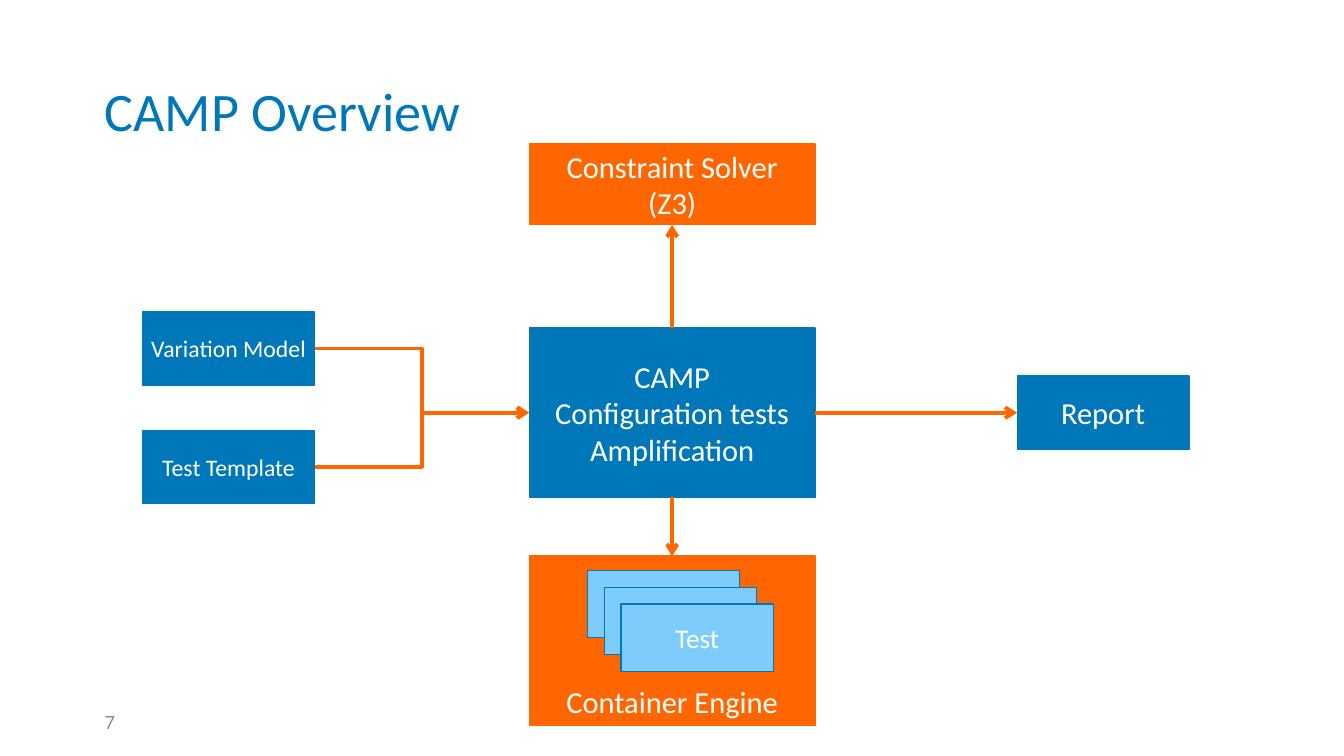
from collections import namedtuple

from lxml import etree
from pptx import Presentation
from pptx.dml.color import RGBColor
from pptx.enum.shapes import MSO_CONNECTOR, MSO_SHAPE
from pptx.enum.text import MSO_ANCHOR, PP_ALIGN
from pptx.oxml.ns import qn
from pptx.util import Pt

RECTANGLE = MSO_SHAPE.RECTANGLE
STRAIGHT, ELBOW = MSO_CONNECTOR.STRAIGHT, MSO_CONNECTOR.ELBOW
MIDDLE, BOTTOM_ANCHOR = MSO_ANCHOR.MIDDLE, MSO_ANCHOR.BOTTOM
LEFT_ALIGN, CENTER = PP_ALIGN.LEFT, PP_ALIGN.CENTER
TOP, LEFT, BOTTOM, RIGHT = range(4)

FONT = "Calibri"
BLUE, ORANGE, SKY, WHITE, GREY = "0077B8", "FF6600", "7ECCFC", "FFFFFF", "8C8C8C"
Box = namedtuple("Box", "left top width height")


def color(value):
    return RGBColor.from_string(value)


def write_text(frame, text, size=18, fill=WHITE, align=CENTER, anchor=MIDDLE, spacing=None):
    frame.vertical_anchor = anchor
    for index, line in enumerate(text.split("\n")):
        paragraph = frame.add_paragraph() if index else frame.paragraphs[0]
        paragraph.alignment = align
        if spacing:
            paragraph.line_spacing = spacing
        run = paragraph.add_run()
        run.text = line
        run.font.name = FONT
        run.font.size = Pt(size)
        run.font.color.rgb = color(fill)


def add_label(slide, box, text, **text_format):
    shape = slide.shapes.add_textbox(*map(Pt, box))
    shape.text_frame.word_wrap = True
    write_text(shape.text_frame, text, align=LEFT_ALIGN, **text_format)


def add_block(slide, box, text, fill=BLUE, outline=None, **text_format):
    shape = slide.shapes.add_shape(RECTANGLE, *map(Pt, box))
    shape.shadow.inherit = False
    shape.fill.solid()
    shape.fill.fore_color.rgb = color(fill)
    shape.line.color.rgb = color(outline or fill)
    shape.line.width = Pt(0)
    frame = shape.text_frame
    frame.word_wrap = False
    frame.margin_left = frame.margin_right = Pt(4.3)
    frame.margin_top = frame.margin_bottom = Pt(3.6)
    write_text(frame, text, **text_format)
    return shape


def add_arrow(slide, start, start_side, end, end_side, kind=STRAIGHT):
    connector = slide.shapes.add_connector(kind, 0, 0, 0, 0)
    connector.begin_connect(start, start_side)
    connector.end_connect(end, end_side)
    connector.line.color.rgb = color(ORANGE)
    connector.line.width = Pt(2.3)
    properties = connector.line._get_or_add_ln()
    etree.SubElement(properties, qn("a:tailEnd"), type="arrow")
    etree.SubElement(connector._element.spPr, qn("a:effectLst"))


def add_inputs(slide, box):
    height = 43.2
    step = box.height - height
    return [
        add_block(slide, Box(box.left, box.top + index * step, box.width, height), text, size=14)
        for index, text in enumerate(("Variation Model", "Test Template"))
    ]


def add_container_engine(slide, box):
    engine = add_block(slide, box, "Container Engine", fill=ORANGE, anchor=BOTTOM_ANCHOR)
    for index in range(3):
        offset = index * 9.9
        card = Box(box.left + 34.4 + offset, box.top + 8.5 + offset, 90, 39.6)
        add_block(slide, card, "Test", fill=SKY, outline=BLUE, size=16)
    return engine


def add_overview(slide, box):
    core_left, core_width, core_height = box.left + 228.2, 168.8, 100
    core_top = box.top + 108.7
    side_width, report_height = 101.5, 43.2

    core = add_block(
        slide,
        Box(core_left, core_top, core_width, core_height),
        "CAMP\nConfiguration tests\nAmplification",
    )
    inputs = add_inputs(slide, Box(box.left, box.top + 99.2, side_width, 113))
    report = add_block(
        slide,
        Box(
            box.left + box.width - side_width,
            core_top + (core_height - report_height) / 2,
            side_width,
            report_height,
        ),
        "Report",
    )
    solver = add_block(
        slide,
        Box(core_left, box.top, core_width, 47.8),
        "Constraint Solver\n(Z3)",
        fill=ORANGE,
    )
    engine = add_container_engine(
        slide,
        Box(core_left, box.top + box.height - core_height, core_width, core_height),
    )

    for source in inputs:
        add_arrow(slide, source, RIGHT, core, LEFT, kind=ELBOW)
    add_arrow(slide, core, RIGHT, report, LEFT)
    add_arrow(slide, core, TOP, solver, BOTTOM)
    add_arrow(slide, core, BOTTOM, engine, TOP)


def main():
    presentation = Presentation()
    presentation.slide_width = Pt(793.44)
    presentation.slide_height = Pt(446.4)
    slide = presentation.slides.add_slide(presentation.slide_layouts[6])
    add_label(slide, Box(54.7, 23.8, 684.7, 86.4), "CAMP Overview", size=32, fill=BLUE, spacing=0.9)
    add_label(slide, Box(54.7, 414, 178.6, 23.8), "7", size=12, fill=GREY)
    add_overview(slide, Box(84.2, 85, 617.8, 343.4))
    presentation.save("out.pptx")


if __name__ == "__main__":
    main()
